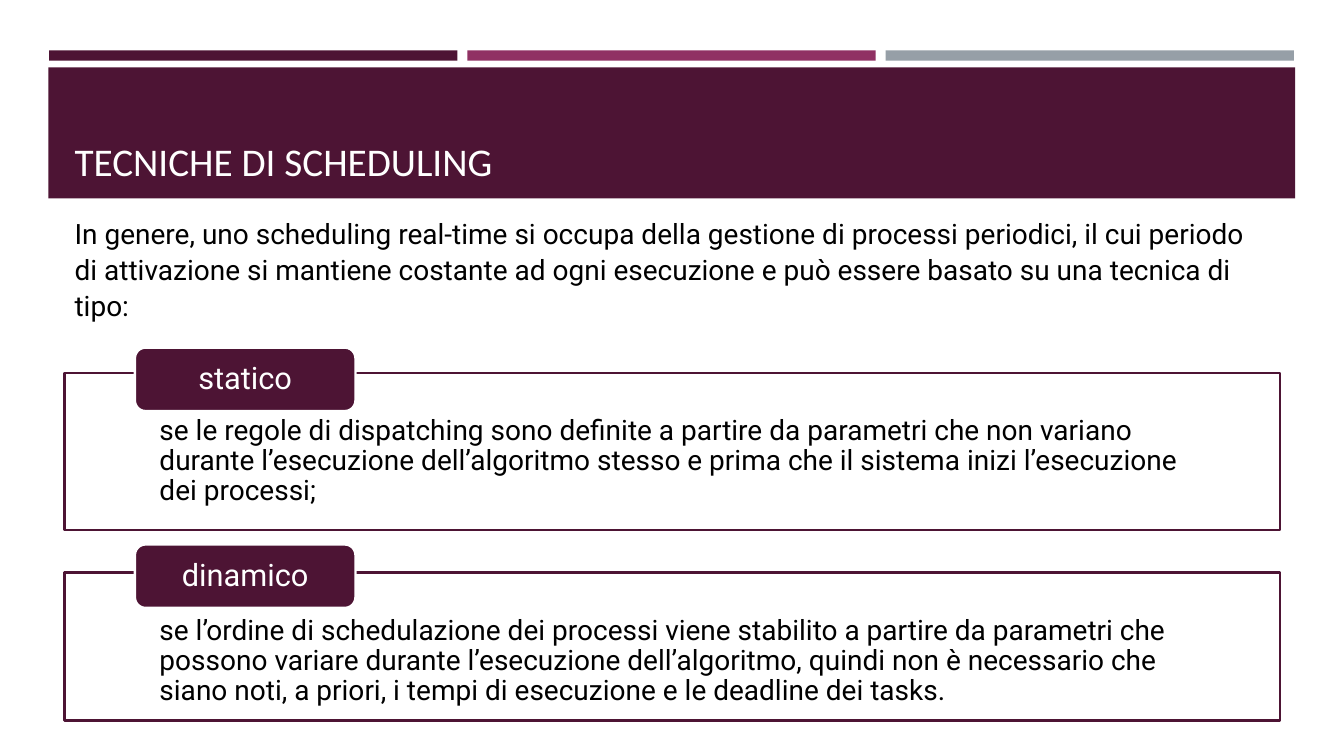
import pptx
import pptx.dml.color
import pptx.enum.shapes
import pptx.enum.text
import pptx.oxml.ns
import pptx.util
from lxml import etree

Cm = pptx.util.Cm
Pt = pptx.util.Pt
Shape = pptx.enum.shapes.MSO_SHAPE
Anchor = pptx.enum.text.MSO_ANCHOR
Align = pptx.enum.text.PP_ALIGN

PLUM, MAGENTA, GREY = "4D1434", "903163", "969FA7"
WHITE, BLACK = "FFFFFF", "000000"

LEFT, WIDTH = 1.63, 30.63
BAR_LEFT, BAR_WIDTH, BAR_STEP = 1.24, 10.29, 10.54
TAB_LEFT, TAB_WIDTH, TAB_HEIGHT = 3.4, 5.56, 1.6

INTRO = (
    "In genere, uno scheduling real-time si occupa della gestione di processi "
    "periodici, il cui periodo di attivazione si mantiene costante ad ogni "
    "esecuzione e può essere basato su una tecnica di tipo:"
)
# label, label top, frame top, frame height, description
TECHNIQUES = [
    ("statico", 8.76, 9.4, 3.96,
     "se le regole di dispatching sono definite a partire da parametri che non "
     "variano durante l’esecuzione dell’algoritmo stesso e prima che il sistema "
     "inizi l’esecuzione dei processi;"),
    ("dinamico", 13.72, 14.43, 3.73,
     "se l’ordine di schedulazione dei processi viene stabilito a partire da "
     "parametri che possono variare durante l’esecuzione dell’algoritmo, quindi "
     "non è necessario che siano noti, a priori, i tempi di esecuzione e le "
     "deadline dei tasks."),
]


def color(value):
    return pptx.dml.color.RGBColor.from_string(value)


class Page:
    """One slide with its text and shape style."""

    body_font = "Roboto"
    title_font = "Calibri"
    line_width = Pt(1.75)

    def __init__(self, deck):
        self.shapes = deck.slides.add_slide(deck.slide_layouts[6]).shapes

    def block(self, left, top, width, height, fill, line=None, kind=Shape.RECTANGLE):
        shape = self.shapes.add_shape(kind, Cm(left), Cm(top), Cm(width), Cm(height))
        shape.shadow.inherit = False
        shape.fill.solid()
        shape.fill.fore_color.rgb = color(fill)
        if line:
            shape.line.color.rgb = color(line)
            shape.line.width = self.line_width
        else:
            shape.line.fill.background()
        return shape

    def fill_text(self, shape, text, size, ink, font=None, anchor=Anchor.TOP,
                  align=Align.LEFT, spacing=1.0, after=0, insets=None):
        """Set the text of a shape; insets are (horizontal, top, bottom) in cm."""
        frame = shape.text_frame
        frame.text = text
        frame.word_wrap = True
        frame.vertical_anchor = anchor
        if insets:
            side, top, bottom = insets
            frame.margin_left = frame.margin_right = Cm(side)
            frame.margin_top, frame.margin_bottom = Cm(top), Cm(bottom)
        para = frame.paragraphs[0]
        para.alignment = align
        para.line_spacing = spacing
        para.space_after = Pt(after)
        span = para.runs[0].font
        span.name = font or self.body_font
        span.size = Pt(size)
        span.color.rgb = color(ink)

    def text(self, left, top, width, height, text, size, ink, **style):
        box = self.shapes.add_textbox(Cm(left), Cm(top), Cm(width), Cm(height))
        self.fill_text(box, text, size, ink, **style)

    def technique(self, label, label_top, top, height, description):
        """Draw a framed description with its label over the top edge."""
        frame = self.block(LEFT, top, WIDTH, height, WHITE, PLUM)
        fill = frame.element.spPr.find(pptx.oxml.ns.qn("a:solidFill"))
        etree.SubElement(fill[0], pptx.oxml.ns.qn("a:alpha"), val="90000")
        self.fill_text(frame, description, 20, BLACK, spacing=0.9, after=4,
                       insets=(2.39, 1.09, 0.41))
        tab = self.block(TAB_LEFT, label_top, TAB_WIDTH, TAB_HEIGHT, PLUM, WHITE,
                         Shape.ROUNDED_RECTANGLE)
        self.fill_text(tab, label, 22, WHITE, anchor=Anchor.MIDDLE,
                       align=Align.CENTER, spacing=0.9, insets=(0.89, 0.08, 0.08))


def main():
    deck = pptx.Presentation()
    deck.slide_width, deck.slide_height = Cm(33.87), Cm(19.05)
    page = Page(deck)
    for index, fill in enumerate((PLUM, MAGENTA, GREY)):
        page.block(BAR_LEFT + index * BAR_STEP, 1.27, BAR_WIDTH, 0.26, fill)
    page.block(1.22, 1.7, 31.42, 3.3, PLUM)
    page.text(LEFT, 1.96, WIDTH, 2.82, "TECNICHE DI SCHEDULING", 28, WHITE,
              font=page.title_font, anchor=Anchor.BOTTOM)
    page.text(LEFT, 5.28, WIDTH, 2.97, INTRO, 20, BLACK, spacing=1.07, after=8)
    for technique in TECHNIQUES:
        page.technique(*technique)
    deck.save("out.pptx")


if __name__ == "__main__":
    main()
